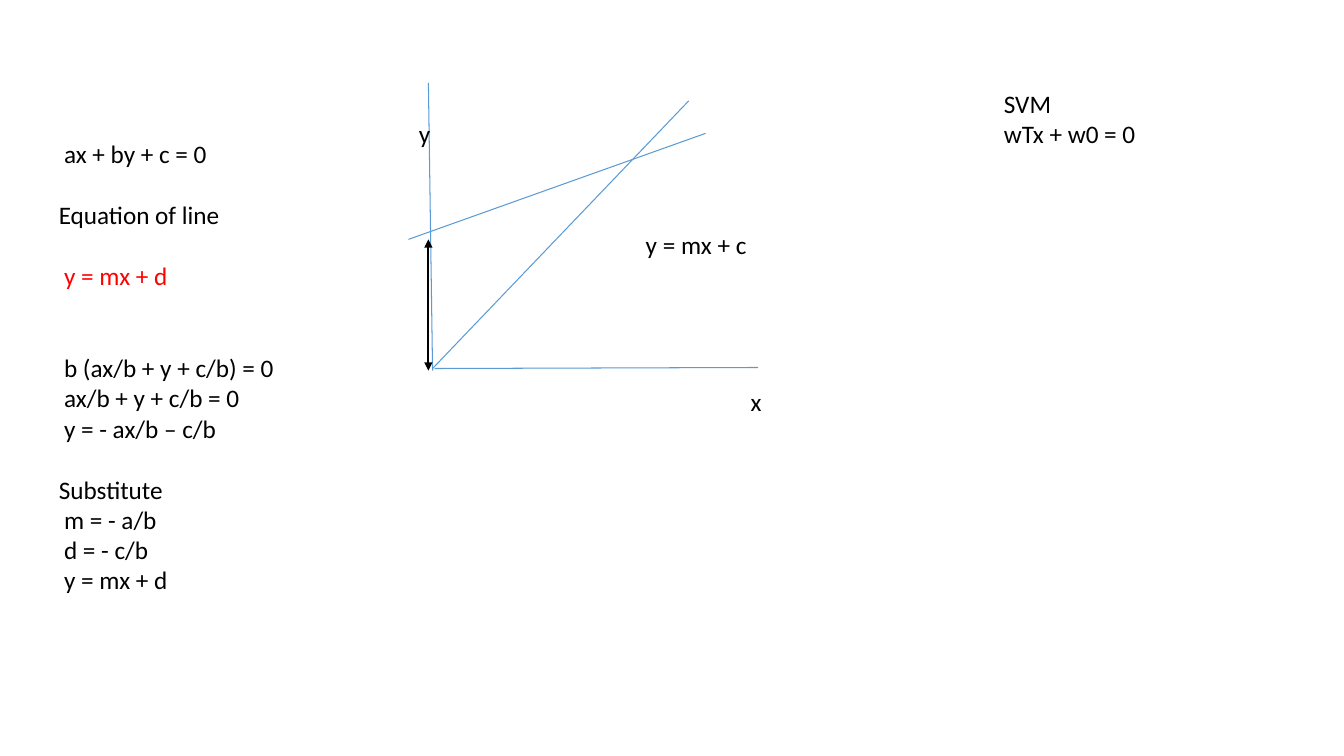
from lxml import etree
from pptx import Presentation, dml, util as u
from pptx.dml import color
from pptx.enum import shapes, text
from pptx.oxml import ns

BLACK, BLUE, RED = "000000", "5B9BD5", "FF0000"


def rgb(value):
    return color.RGBColor.from_string(value)


class EquationSlide:
    """Style and drawing methods for the line equation slide."""

    px = 9525
    font = {"name": "Calibri", "size": u.Pt(18)}
    frame = {"word_wrap": True, "vertical_anchor": text.MSO_ANCHOR.TOP}
    insets = {"margin_left": 10, "margin_right": 10, "margin_top": 5, "margin_bottom": 5}
    row_height = u.Pt(22)

    def __init__(self, deck):
        deck.slide_width, deck.slide_height = 1280 * self.px, 720 * self.px
        self.slide = deck.slides.add_slide(deck.slide_layouts[6])

    def scale(self, *lengths):
        return [length * self.px for length in lengths]

    def line(self, start, end, hue=BLUE, width=0.75, arrows=False):
        stroke = self.slide.shapes.add_connector(
            shapes.MSO_CONNECTOR.STRAIGHT, *self.scale(*start, *end))
        stroke.line.color.rgb = rgb(hue)
        stroke.line.width = u.Pt(width)
        if arrows:
            for end_tag in ("a:headEnd", "a:tailEnd"):
                etree.SubElement(stroke.line._get_or_add_ln(), ns.qn(end_tag), type="triangle")
        etree.SubElement(stroke._element.spPr, ns.qn("a:effectLst"))

    def words(self, place, rows):
        body = self.slide.shapes.add_textbox(*self.scale(*place)).text_frame
        for name, value in self.frame.items():
            setattr(body, name, value)
        for name, value in self.insets.items():
            setattr(body, name, value * self.px)
        for index, (wording, indent, rows_before, hue) in enumerate(rows):
            row = body.add_paragraph() if index else body.paragraphs[0]
            row.text = wording
            if indent:
                row._p.get_or_add_pPr().set("marL", str(indent * self.px))
            if rows_before:
                row.space_before = rows_before * self.row_height
            for name, value in self.font.items():
                setattr(row.font, name, value)
            row.font.color.rgb = rgb(hue)


def main():
    deck = Presentation()
    page = EquationSlide(deck)

    y_axis = (408, 79), (412, 353)
    x_axis = (414, 351), (722, 350)
    diagonal = (412, 351), (656, 96)
    sloped_line = (389, 228), (672, 127)
    for start, end in (y_axis, x_axis, diagonal, sloped_line):
        page.line(start, end)
    page.line((408, 228), (408, 353), BLACK, 1.5, arrows=True)

    derivation = [
        ("ax + by + c = 0", 5, 0, BLACK),
        ("Equation of line", 0, 1, BLACK),
        ("y = mx + d", 5, 1, RED),
        ("b (ax/b + y + c/b) = 0", 5, 2, BLACK),
        ("ax/b + y + c/b = 0", 5, 0, BLACK),
        ("y = - ax/b – c/b", 5, 0, BLACK),
        ("Substitute", 0, 1, BLACK),
        ("m = - a/b", 5, 0, BLACK),
        ("d = - c/b", 5, 0, BLACK),
        ("y = mx + d", 5, 0, BLACK),
    ]
    svm = [("SVM", 0, 0, BLACK), ("wTx + w0 = 0", 0, 0, BLACK)]
    page.words((46, 127, 312, 445), derivation)
    page.words((946, 79, 146, 68), svm)
    page.words((600, 213, 129, 38), [("y = mx + c", 5, 0, BLACK)])
    for axis_name, left, top in (("x", 705, 363), ("y", 389, 108)):
        page.words((left, top, 31, 38), [(axis_name, 0, 0, BLACK)])

    deck.save("out.pptx")


if __name__ == "__main__":
    main()
